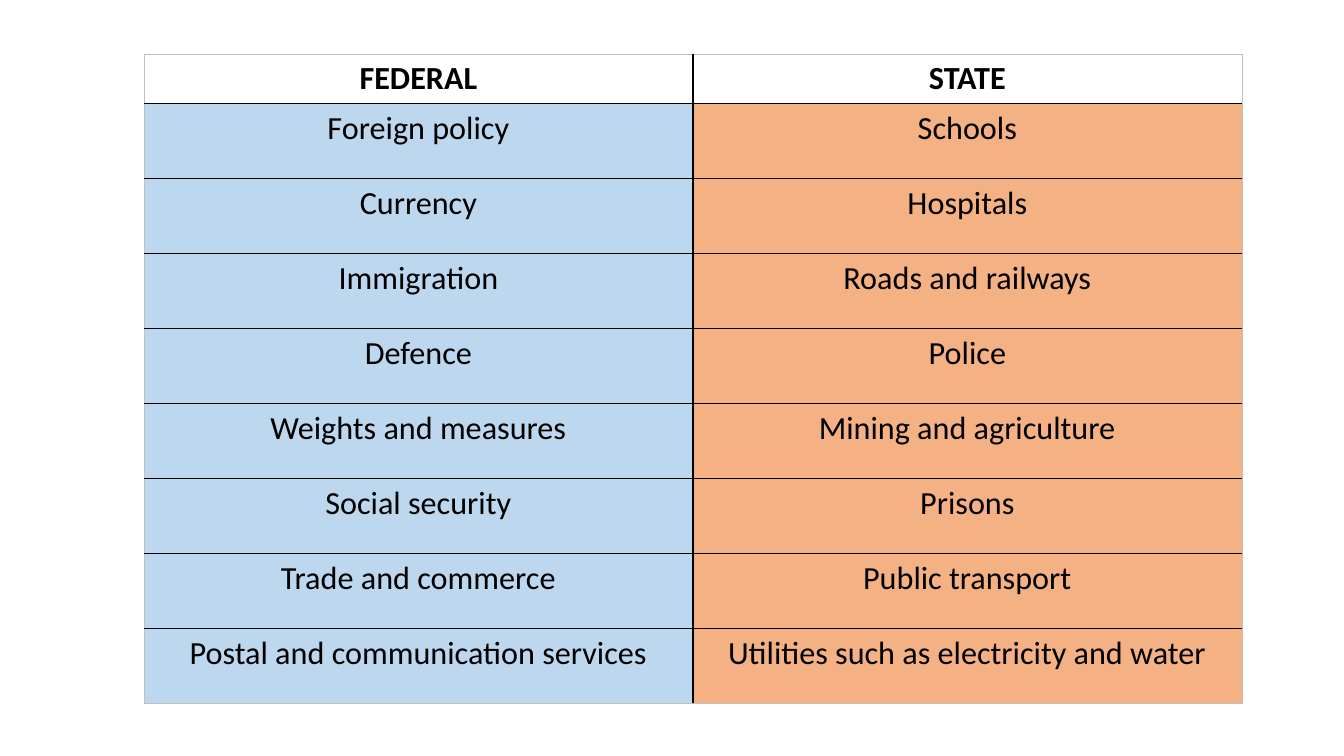
from dataclasses import dataclass
from typing import NamedTuple

from lxml.etree import SubElement
from pptx import Presentation
from pptx.dml.color import RGBColor as RGB
from pptx.enum.text import PP_ALIGN as Align
from pptx.oxml.ns import qn
from pptx.table import Table, _Cell as Cell
from pptx.util import Emu, Pt


@dataclass(frozen=True)
class Theme:
    font: str = "Calibri"
    size: int = 23
    ink: str = "000000"
    head: str = "FFFFFF"
    federal: str = "BDD7EE"
    state: str = "F4B183"
    edge: str = "BFBFBF"
    inner_pt: float = 1
    edge_pt: float = 0.5


class Column(NamedTuple):
    title: str
    fill: str
    items: list[str]


THEME = Theme()
LEFT, TOP = 144, 54
COL_W, HEAD_H, ROW_H = 549, 49, 75

COLUMNS = [
    Column("FEDERAL", THEME.federal, [
        "Foreign policy", "Currency", "Immigration", "Defence",
        "Weights and measures", "Social security", "Trade and commerce",
        "Postal and communication services",
    ]),
    Column("STATE", THEME.state, [
        "Schools", "Hospitals", "Roads and railways", "Police",
        "Mining and agriculture", "Prisons", "Public transport",
        "Utilities such as electricity and water",
    ]),
]


def px(n: int) -> Emu:
    return Emu(round(n * 9144000 / 1008))


def write(cell: Cell, text: str, fill: str, bold: bool) -> None:
    cell.fill.solid()
    cell.fill.fore_color.rgb = RGB.from_string(fill)
    cell.text_frame.text = text
    para = cell.text_frame.paragraphs[0]
    para.alignment = Align.CENTER
    font = para.runs[0].font
    font.name, font.size, font.bold = THEME.font, Pt(THEME.size), bold
    font.color.rgb = RGB.from_string(THEME.ink)


def border(cell: Cell, outer: dict[str, bool]) -> None:
    """Rule each side: grey on the table's rim, black inside."""
    props = cell._tc.get_or_add_tcPr()
    for at, (side, rim) in enumerate(outer.items()):
        width = THEME.edge_pt if rim else THEME.inner_pt
        line = SubElement(props, qn(f"a:{side}"), w=str(int(Pt(width))))
        fill = SubElement(line, qn("a:solidFill"))
        SubElement(fill, qn("a:srgbClr"), val=THEME.edge if rim else THEME.ink)
        props.insert(at, line)


def fill_table(table: Table) -> None:
    last_row, last_col = len(table.rows) - 1, len(table.columns) - 1
    for c, col in enumerate(COLUMNS):
        table.columns[c].width = px(COL_W)
        for r, text in enumerate([col.title, *col.items]):
            cell = table.cell(r, c)
            head = r == 0
            write(cell, text, THEME.head if head else col.fill, head)
            border(cell, {"lnL": c == 0, "lnR": c == last_col,
                          "lnT": head, "lnB": r == last_row})
    for r, row in enumerate(table.rows):
        row.height = px(ROW_H if r else HEAD_H)


def main() -> None:
    deck = Presentation()
    deck.slide_width, deck.slide_height = px(1344), px(756)
    slide = deck.slides.add_slide(deck.slide_layouts.get_by_name("Blank"))
    count = len(COLUMNS[0].items)
    frame = slide.shapes.add_table(
        count + 1, len(COLUMNS), px(LEFT), px(TOP),
        px(COL_W * len(COLUMNS)), px(HEAD_H + count * ROW_H))
    fill_table(frame.table)
    deck.save("out.pptx")


if __name__ == "__main__":
    main()
